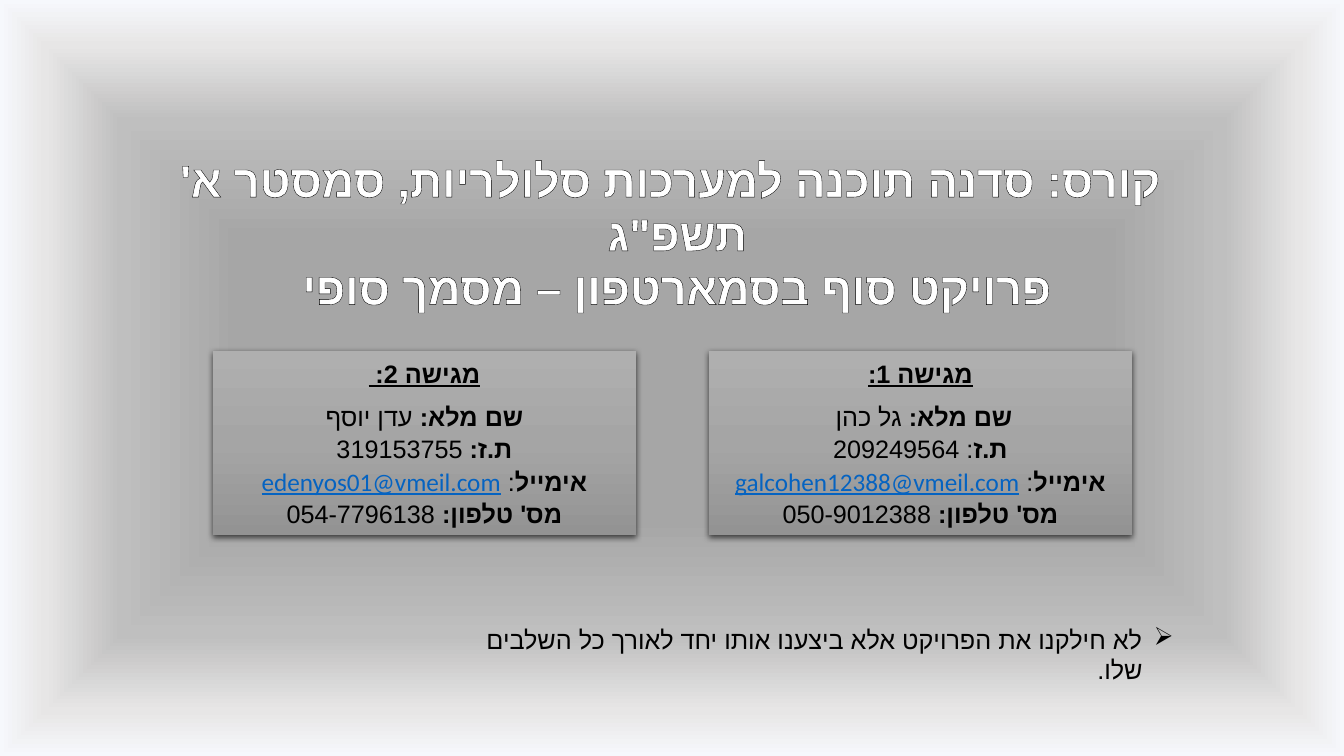
from lxml.etree import SubElement
from pptx import Presentation
from pptx.dml.color import RGBColor
from pptx.enum.shapes import MSO_SHAPE
from pptx.enum.text import MSO_ANCHOR, MSO_AUTO_SIZE, PP_ALIGN
from pptx.oxml.ns import qn
from pptx.util import Cm, Pt

TITLE = [
    "קורס: סדנה תוכנה למערכות סלולריות, סמסטר א' תשפ\"ג ",
    "פרויקט סוף בסמארטפון – מסמך סופי ",
]
CARDS = [
    ("מגישה 1:", [
        ("שם מלא: ", "גל כהן ", ""),
        ("ת.ז", ": 209249564", ""),
        ("אימייל", ": ", "galcohen12388@vmeil.com"),
        ("מס' טלפון: ", "050-9012388", ""),
    ]),
    ("מגישה 2: ", [
        ("שם מלא: ", "עדן יוסף", ""),
        ("ת.ז:", " 319153755", ""),
        ("אימייל", ": ", "edenyos01@vmeil.com"),
        ("מס' טלפון: ", "054-7796138", ""),
    ]),
]
NOTE = "לא חילקנו את הפרויקט אלא ביצענו אותו יחד לאורך כל השלבים שלו. "

COLORS = {"text": "000000", "title": "FFFFFF", "mail": "0563C1"}
BACK = [(37, "A6A6A6"), (68, "BFBFBF"), (88, "E7E6E6"), (100, "F6F8FC")]
METAL = [(0, "AFAFAF"), (50, "A5A5A5"), (100, "939393")]

BASE = {"name": "Calibri", "size": Pt(18), "bold": False, "underline": False}
BOLD = {**BASE, "bold": True}
HEAD = {**BOLD, "underline": True}
MAIL = {**BASE, "underline": True}
BIG = {**BOLD, "size": Pt(32)}
FRAME = {"word_wrap": True, "auto_size": MSO_AUTO_SIZE.NONE,
         "vertical_anchor": MSO_ANCHOR.TOP}
CARD_PARA = {"alignment": PP_ALIGN.CENTER, "line_spacing": 1.07,
             "space_before": Pt(0), "space_after": Pt(8)}
TITLE_PARA = {"alignment": PP_ALIGN.CENTER, "space_before": Pt(0)}
NOTE_PARA = {"alignment": PP_ALIGN.RIGHT, "space_before": Pt(0)}

WIDE, HIGH = Cm(33.87), Cm(19.05)
CARD_W, CARD_H, CARD_TOP = Cm(10.67), Cm(4.65), Cm(8.84)
RIGHT, STEP = Cm(17.86), Cm(12.5)


def apply(thing, style):
    """Set every attribute named in a style."""
    for key, value in style.items():
        setattr(thing, key, value)


def add(parent, tag, **attrs):
    """Append an XML child with the given attributes."""
    return SubElement(parent, qn(tag), {k: str(v) for k, v in attrs.items()})


def blend(fill, root, stops):
    """Make a gradient with these stops and return its element."""
    fill.gradient()
    grad = next(root.iter(qn("a:gradFill")))
    for child in list(grad):
        grad.remove(child)
    group = add(grad, "a:gsLst")
    for place, color in stops:
        stop = add(group, "a:gs", pos=place * 1000)
        add(stop, "a:srgbClr", val=color)
    return grad


def place(shape, left, top, width, height):
    """Move a shape, prepare its frame and return the frame."""
    apply(shape, dict(left=left, top=top, width=width, height=height))
    apply(shape.text_frame, FRAME)
    return shape.text_frame


def begin(para, style):
    """Format a right-to-left paragraph and return its properties."""
    apply(para, style)
    props = para._p.get_or_add_pPr()
    props.set("rtl", "1")
    return props


def write(para, text, style, color="text"):
    """Add a run of text and return its properties."""
    run = para.add_run()
    run.text = text
    apply(run.font, style)
    run.font.color.rgb = RGBColor.from_string(COLORS[color])
    props = run.font._element
    add(props, "a:cs", typeface="Arial")
    return props


def draw_card(slide, left, head, rows):
    """Draw one student's card."""
    card = slide.shapes.add_shape(
        MSO_SHAPE.RECTANGLE, left, CARD_TOP, CARD_W, CARD_H)
    grad = blend(card.fill, card.element, METAL)
    add(grad, "a:lin", ang=5400000, scaled=0)
    card.line.fill.background()
    card.shadow.inherit = False
    glow = add(next(card.element.iter(qn("a:effectLst"))), "a:outerShdw",
               blurRad=Pt(4.5), dist=Pt(1.5), dir=5400000, rotWithShape=0)
    add(add(glow, "a:srgbClr", val=COLORS["text"]), "a:alpha", val=63000)
    frame = place(card, left, CARD_TOP, CARD_W, CARD_H)
    para = frame.paragraphs[0]
    begin(para, CARD_PARA)
    write(para, head, HEAD)
    para = frame.add_paragraph()
    begin(para, CARD_PARA)
    for index, (label, value, mail) in enumerate(rows):
        if index:
            para.add_line_break()
        write(para, label, BOLD)
        write(para, value, BASE)
        if mail:
            write(para, mail, MAIL, "mail")


deck = Presentation()
deck.slide_width, deck.slide_height = WIDE, HIGH
slide = deck.slides.add_slide(deck.slide_layouts[1])
grad = blend(slide.background.fill, slide.element, BACK)
add(add(grad, "a:path", path="shape"), "a:fillToRect",
    l=50000, t=50000, r=50000, b=50000)

frame = place(slide.shapes.title, Cm(3.58), Cm(3.71), Cm(26.67), Cm(3))
para = frame.paragraphs[0]
begin(para, TITLE_PARA)
for index, line in enumerate(TITLE):
    if index:
        para.add_line_break()
    props = write(para, line, BIG, "title")
    edge = add(props, "a:ln", w=Pt(0.5))
    add(add(edge, "a:solidFill"), "a:srgbClr", val=COLORS["text"])
    props.insert(0, edge)

for index, (head, rows) in enumerate(CARDS):
    draw_card(slide, RIGHT - index * STEP, head, rows)

frame = place(slide.placeholders[1], Cm(10.92), Cm(15.6), Cm(18.92), Cm(1.02))
para = frame.paragraphs[0]
props = begin(para, NOTE_PARA)
props.set("marL", str(Cm(0.79)))
props.set("indent", str(-Cm(0.79)))
add(props, "a:buFont", typeface="Wingdings")
add(props, "a:buChar", char="Ø")
write(para, NOTE, BASE)

deck.save("out.pptx")
